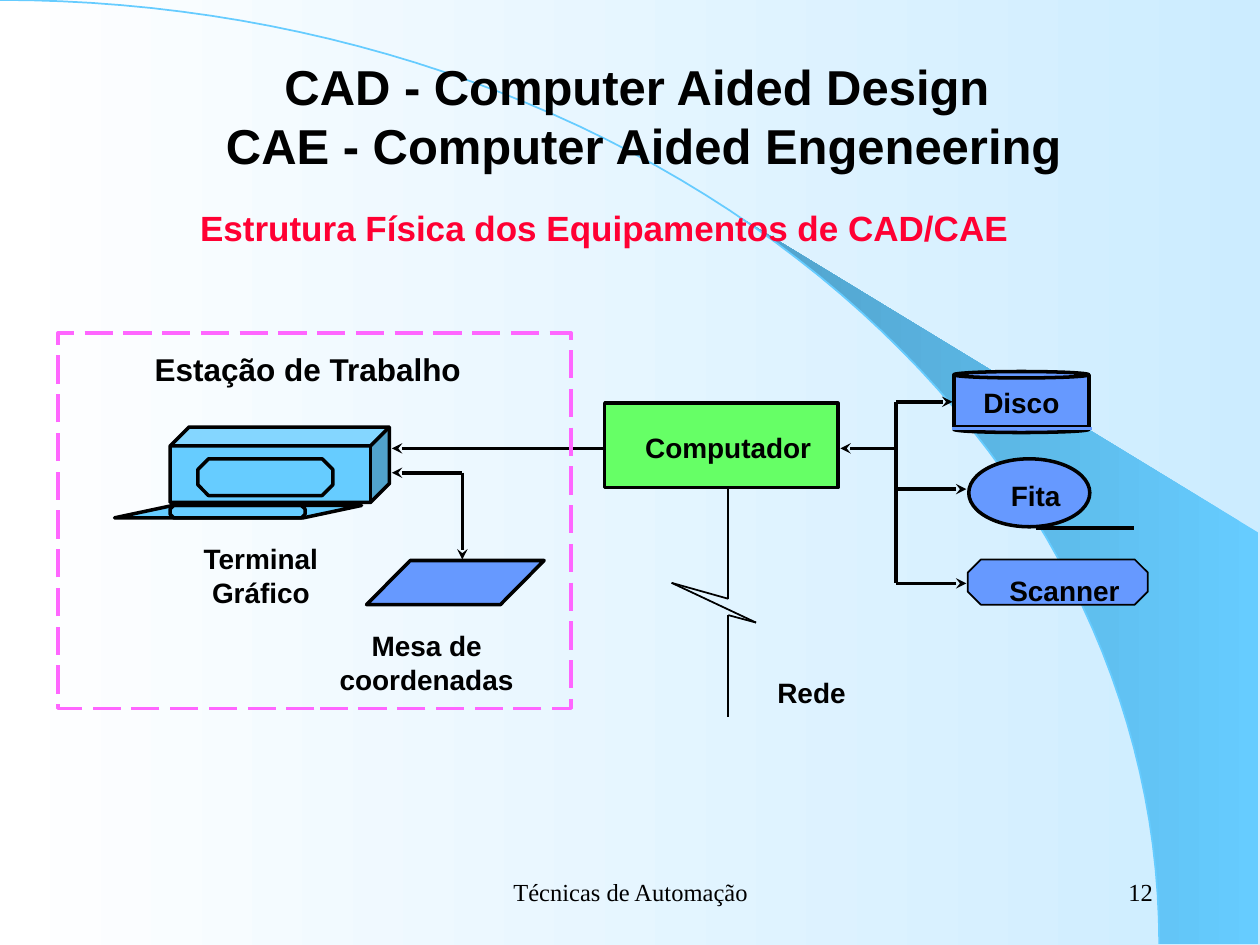
from itertools import pairwise
from math import asin, cos, pi, sin

from lxml import etree
from pptx import Presentation
from pptx.dml.color import RGBColor
from pptx.enum.dml import MSO_LINE
from pptx.enum.shapes import MSO_CONNECTOR, MSO_SHAPE
from pptx.enum.text import MSO_ANCHOR, PP_ALIGN
from pptx.oxml.ns import qn
from pptx.util import Cm, Pt

CENTER, RIGHT = PP_ALIGN.CENTER, PP_ALIGN.RIGHT
TOP, MIDDLE = MSO_ANCHOR.TOP, MSO_ANCHOR.MIDDLE
CUBE, OCTAGON = MSO_SHAPE.CUBE, MSO_SHAPE.OCTAGON
PARALLELOGRAM = MSO_SHAPE.PARALLELOGRAM
RECTANGLE, OVAL = MSO_SHAPE.RECTANGLE, MSO_SHAPE.OVAL
STRAIGHT, LONG_DASH = MSO_CONNECTOR.STRAIGHT, MSO_LINE.LONG_DASH

BLACK, SKY, BLUE = "000000", "66CCFF", "6699FF"
GREEN, PINK, RED = "66FF66", "FF66FF", "FF0033"
color = RGBColor.from_string

prs = Presentation()
prs.slide_width, prs.slide_height = Cm(25.4), Cm(19.05)
slide = prs.slides.add_slide(prs.slide_layouts[6])
shapes = slide.shapes


def connect(start, end, width=2, line_color=BLACK, arrows=()):
    """Draw a straight line; arrows may name headEnd (start) and tailEnd (end)."""
    line = shapes.add_connector(STRAIGHT, *map(Cm, start + end))
    line.line.color.rgb = color(line_color)
    line.line.width = Pt(width)
    properties = line._element.spPr
    for arrow in arrows:
        etree.SubElement(properties.find(qn("a:ln")), qn(f"a:{arrow}"), type="stealth")
    etree.SubElement(properties, qn("a:effectLst"))


def label(text, box, size=16, text_color=BLACK, wrap=False, anchor=TOP,
          align=CENTER, font_name="Arial", bold=True):
    frame = shapes.add_textbox(*map(Cm, box)).text_frame
    frame.word_wrap = wrap
    frame.vertical_anchor = anchor
    frame.text = text
    paragraph = frame.paragraphs[0]
    paragraph.alignment = align
    for run in paragraph.runs:
        run.font.name = font_name
        run.font.size = Pt(size)
        run.font.bold = bold
        run.font.color.rgb = color(text_color)


# Background: a quarter ellipse, and a wedge between it and the right edge
ARC_WIDTH, ARC_HEIGHT = 23.37, 19.03
WEDGE_LEFT, WEDGE_RIGHT, WEDGE_TOP = 14.96, 25.37, 10.74
STEPS = 60


def_angles = [asin(WEDGE_LEFT / ARC_WIDTH), 0]
wedge_curve, arc_curve = [
    [
        (Cm(ARC_WIDTH * sin(angle)), Cm(ARC_HEIGHT * (1 - cos(angle))))
        for angle in (first + (pi / 2 - first) * step / STEPS for step in range(STEPS + 1))
    ]
    for first in def_angles
]

wedge_builder = shapes.build_freeform(*wedge_curve[0])
wedge_builder.add_line_segments(
    wedge_curve[1:] + [(Cm(WEDGE_RIGHT), Cm(ARC_HEIGHT)), (Cm(WEDGE_RIGHT), Cm(WEDGE_TOP))]
)
wedge = wedge_builder.convert_to_shape()
wedge.shadow.inherit = False
wedge.line.fill.background()

arc_builder = shapes.build_freeform(*arc_curve[0])
arc_builder.add_line_segments(arc_curve[1:], close=False)
arc = arc_builder.convert_to_shape()
arc.shadow.inherit = False
arc.fill.background()
arc.line.color.rgb = color(SKY)
arc.line.width = Pt(1)

for fill, stops in (
    (slide.background.fill, ("CCECFF", "FFFFFF")),
    (wedge.fill, (SKY, "51A2CB")),
):
    fill.gradient()
    fill.gradient_angle = 180
    for stop, stop_color in zip(fill.gradient_stops, stops):
        stop.color.rgb = color(stop_color)

# Connections between the devices
BUS_X, LINK_Y = 18.06, 9.04
TERMINAL_X, TABLET_X, TABLET_LINK_Y = 7.9, 9.32, 9.53
connect((TERMINAL_X, LINK_Y), (14.4, LINK_Y), arrows=("headEnd", "tailEnd"))
connect((TERMINAL_X, TABLET_LINK_Y), (TABLET_X, TABLET_LINK_Y), arrows=("headEnd",))
connect((TABLET_X, TABLET_LINK_Y), (TABLET_X, 11.28), arrows=("tailEnd",))
for device_x, device_y in ((16.94, LINK_Y), (19.2, 8.1), (19.48, 9.86), (19.48, 11.76)):
    connect((device_x, device_y), (BUS_X, device_y), arrows=("headEnd",))
connect((BUS_X, 8.1), (BUS_X, 11.76))

network_points = [(14.68, 9.86), (14.68, 12.07), (13.54, 11.75),
                  (15.24, 12.55), (14.68, 12.4), (14.68, 14.45)]
for start, end in pairwise(network_points):
    connect(start, end, width=1)

# Devices: kind, box, fill, line width, adjustment
devices = [
    (CUBE, (3.43, 8.61, 4.42, 1.52), SKY, 2, 0.25),
    (OCTAGON, (3.99, 9.25, 2.72, 0.74), None, 2, 0.29),
    (PARALLELOGRAM, (2.31, 10.19, 4.98, 0.25), SKY, 2, 4.7),
    (OCTAGON, (3.43, 10.19, 2.72, 0.25), None, 2, 0.29),
    (PARALLELOGRAM, (7.39, 11.3, 3.58, 0.89), BLUE, 2, 0.99),
    (RECTANGLE, (12.19, 8.13, 4.7, 1.7), GREEN, 2, None),
    (RECTANGLE, (1.17, 6.71, 10.34, 7.57), None, 2, None),
    (OVAL, (19.23, 8.59, 2.72, 0.13), BLUE, 2, None),
    (RECTANGLE, (19.23, 7.57, 2.72, 1.04), BLUE, 2, None),
    (OVAL, (19.23, 7.49, 2.72, 0.13), BLUE, 2, None),
    (OVAL, (19.53, 9.25, 2.44, 1.37), BLUE, 2, None),
    (OCTAGON, (19.51, 11.28, 3.63, 0.91), BLUE, 1, 0.29),
]
outlines = []
for kind, box, fill_color, width, adjustment in devices:
    device = shapes.add_shape(kind, *map(Cm, box))
    device.shadow.inherit = False
    if fill_color:
        device.fill.solid()
        device.fill.fore_color.rgb = color(fill_color)
    else:
        device.fill.background()
    device.line.color.rgb = color(BLACK)
    device.line.width = Pt(width)
    if adjustment is not None:
        device.adjustments[0] = adjustment
    outlines.append(device.line)

workstation_outline = outlines[6]
workstation_outline.color.rgb = color(PINK)
workstation_outline.dash_style = LONG_DASH

connect((19.2, 8.64), (22.02, 8.64), line_color=BLUE)
connect((20.88, 10.64), (22.86, 10.64))

# Texts
label("CAD - Computer Aided Design\v CAE - Computer Aided Engeneering",
      (0.28, 0.74, 25.12, 3.18), size=28, wrap=True, anchor=MIDDLE)
label("Estrutura Física dos Equipamentos de CAD/CAE",
      (3.78, 4.04, 16.81, 1.09), size=20, text_color=RED)
label("Estação de Trabalho", (2.84, 6.93, 6.73, 1.02), size=18)
label("Terminal Gráfico", (2.9, 10.8, 4.72, 1.6), wrap=True)
label("Mesa de coordenadas", (5.92, 12.55, 5.36, 1.6), wrap=True)
label("Computador", (12.75, 8.56, 3.86, 0.94))
label("Disco", (18.9, 7.65, 3.38, 0.94), wrap=True)
label("Fita", (20.12, 9.53, 1.52, 0.94))
label("Scanner", (20.09, 11.43, 2.74, 0.94))
label("Rede", (15.42, 13.49, 1.88, 0.94))
for footer, box, align in (
    ("Técnicas de Automação", (8.69, 17.35, 8.05, 1.27), CENTER),
    ("12", (18.21, 17.35, 5.28, 1.27), RIGHT),
):
    label(footer, box, size=14, wrap=True, anchor=MIDDLE, align=align,
          font_name="Times New Roman", bold=False)

prs.save("out.pptx")
